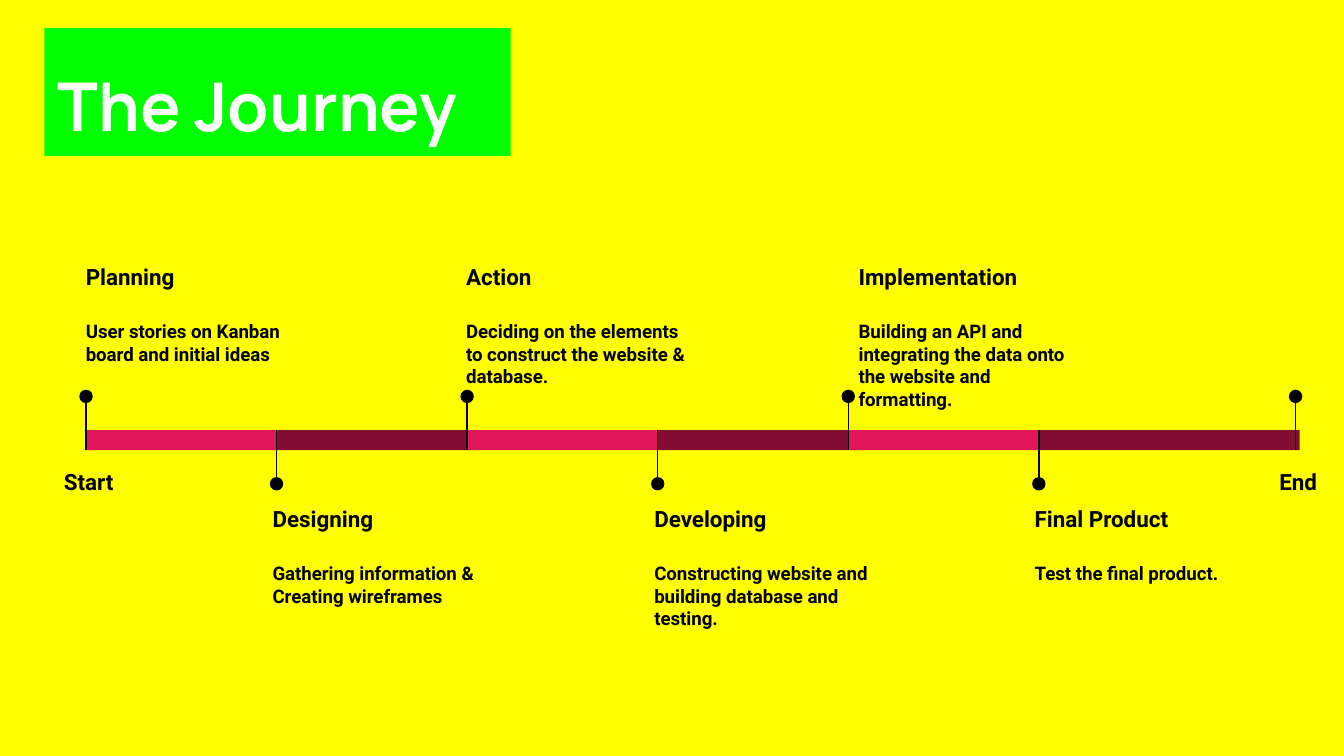
from lxml import etree
from pptx import Presentation
from pptx.dml.color import RGBColor
from pptx.enum.shapes import MSO_CONNECTOR, MSO_SHAPE
from pptx.enum.text import MSO_ANCHOR, MSO_AUTO_SIZE, PP_ALIGN
from pptx.oxml.ns import qn
from pptx.util import Inches, Pt

RECTANGLE, OVAL = MSO_SHAPE.RECTANGLE, MSO_SHAPE.OVAL
STRAIGHT = MSO_CONNECTOR.STRAIGHT
LEFT, CENTER = PP_ALIGN.LEFT, PP_ALIGN.CENTER
MIDDLE, NO_AUTOFIT = MSO_ANCHOR.MIDDLE, MSO_AUTO_SIZE.NONE

COLORS = {
    "background": "FFFF00",
    "title_fill": "00FF00",
    "title_text": "FFFFFF",
    "ink": "000000",
    "bar_light": "E1165A",
    "bar_dark": "840D35",
}
FIRST_START, LAST_START, TIMELINE_END = 0.64, 7.73, 9.67
BAR_TOP, BAR_HEIGHT = 3.2, 0.15
DOT = 0.1

milestones = [
    (0.54, "Planning", ["User stories on Kanban board and initial ideas"]),
    (1.93, "Designing", ["Gathering information &", "Creating wireframes"]),
    (3.37, "Action", ["Deciding on the elements to construct the website & database."]),
    (4.77, "Developing", ["Constructing website and building database and testing."]),
    (6.29, "Implementation", ["Building an API and integrating the data onto the website and formatting."]),
    (7.6, "Final Product", ["Test the final product."]),
]


def add_filled(kind, left, top, width, height, color):
    shape = slide.shapes.add_shape(kind, Inches(left), Inches(top), Inches(width), Inches(height))
    shape.shadow.inherit = False
    shape.fill.solid()
    shape.fill.fore_color.rgb = RGBColor.from_string(COLORS[color])
    shape.line.fill.background()


def add_text(left, top, width, height, lines):
    box = slide.shapes.add_textbox(Inches(left), Inches(top), Inches(width), Inches(height))
    frame = box.text_frame
    frame.word_wrap = True
    frame.margin_left = frame.margin_right = Inches(0.1)
    frame.margin_top = frame.margin_bottom = Inches(0.1)
    frame.text = "\n".join(lines)
    for index, paragraph in enumerate(frame.paragraphs):
        font = paragraph.runs[0].font
        font.name, font.bold = "Roboto", True
        font.size = Pt(10 if index else 12)
        font.color.rgb = RGBColor.from_string(COLORS["ink"])
        if index == 1:
            paragraph.space_before = Pt(16)
    return frame


presentation = Presentation()
presentation.slide_width = Inches(10)
presentation.slide_height = Inches(10 * 9 / 16)
slide = presentation.slides.add_slide(presentation.slide_layouts[5])
slide.background.fill.solid()
slide.background.fill.fore_color.rgb = RGBColor.from_string(COLORS["background"])

title = slide.shapes.title
title.left, title.top = Inches(0.33), Inches(0.21)
title.width, title.height = Inches(3.47), Inches(0.95)
title.fill.solid()
title.fill.fore_color.rgb = RGBColor.from_string(COLORS["title_fill"])
frame = title.text_frame
frame.auto_size = NO_AUTOFIT
frame.vertical_anchor = MIDDLE
frame.margin_left = frame.margin_right = Inches(0.1)
frame.margin_top, frame.margin_bottom = Inches(0.16), Inches(0.1)
frame.text = "The Journey"
paragraph = frame.paragraphs[0]
paragraph.alignment = LEFT
paragraph.add_run().text = " "
for run, size in zip(paragraph.runs, (36, 48)):
    run.font.name, run.font.size, run.font.bold = "Manrope", Pt(size), True
    run.font.color.rgb = RGBColor.from_string(COLORS["title_text"])

step = (LAST_START - FIRST_START) / (len(milestones) - 1)
starts = [FIRST_START + step * index for index in range(len(milestones))]
for index, (start, end) in enumerate(zip(starts, starts[1:] + [TIMELINE_END])):
    color = "bar_dark" if index % 2 else "bar_light"
    add_filled(RECTANGLE, start, BAR_TOP, end - start, BAR_HEIGHT, color)

for index, x in enumerate(starts + [9.64]):
    if index % 2:
        dot_center, line_end = 3.6, BAR_TOP
    else:
        dot_center, line_end = 2.95, BAR_TOP + BAR_HEIGHT
    stem = slide.shapes.add_connector(STRAIGHT, Inches(x), Inches(dot_center), Inches(x), Inches(line_end))
    stem.line.color.rgb = RGBColor.from_string(COLORS["ink"])
    stem.line.width = Pt(0.75)
    etree.SubElement(stem._element.spPr, qn("a:effectLst"))
    add_filled(OVAL, x - DOT / 2, dot_center - DOT / 2, DOT, DOT, "ink")

for index, (left, heading, details) in enumerate(milestones):
    add_text(left, 3.66 if index % 2 else 1.86, 1.84, 1.03, [heading] + details)

for left, label in ((0.28, "Start"), (9.28, "End")):
    paragraph = add_text(left, 3.35, 0.76, 0.41, [label]).paragraphs[0]
    paragraph.alignment = CENTER
    paragraph.line_spacing = 1.15
    paragraph.space_after = Pt(16)

presentation.save("out.pptx")
